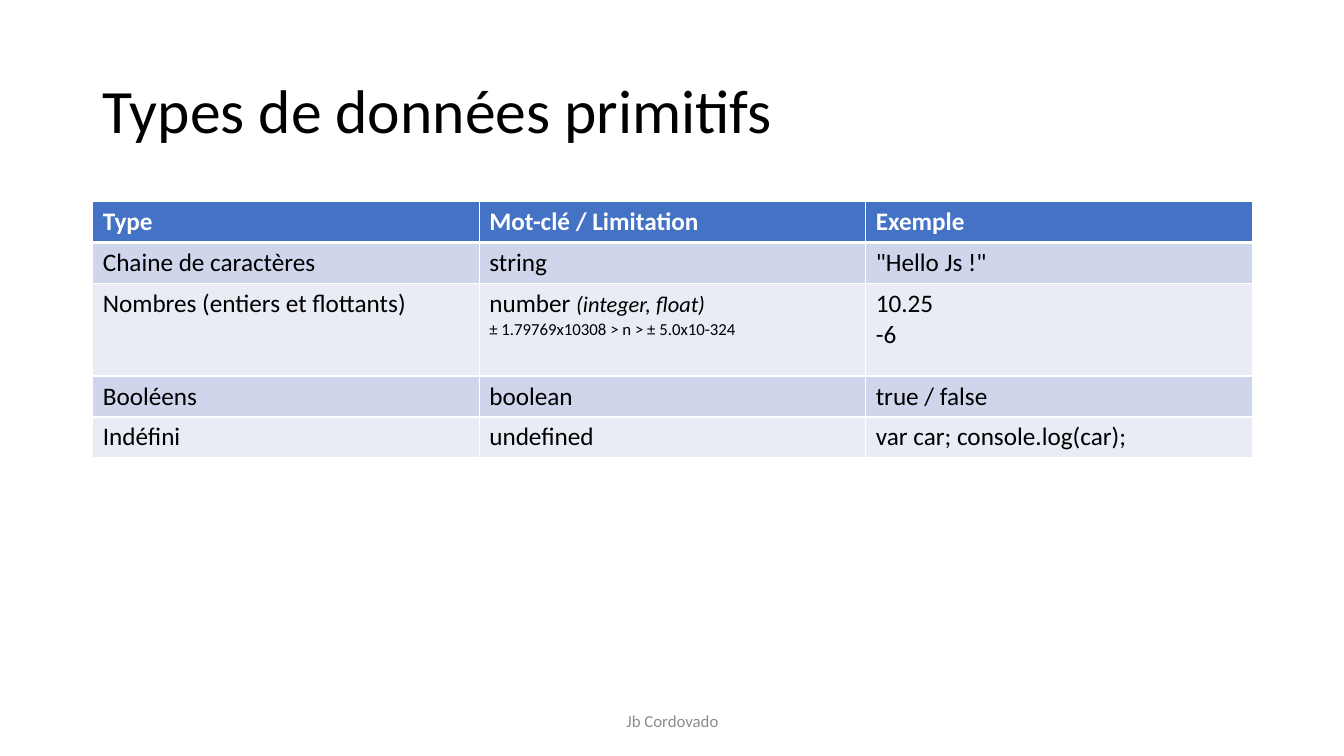
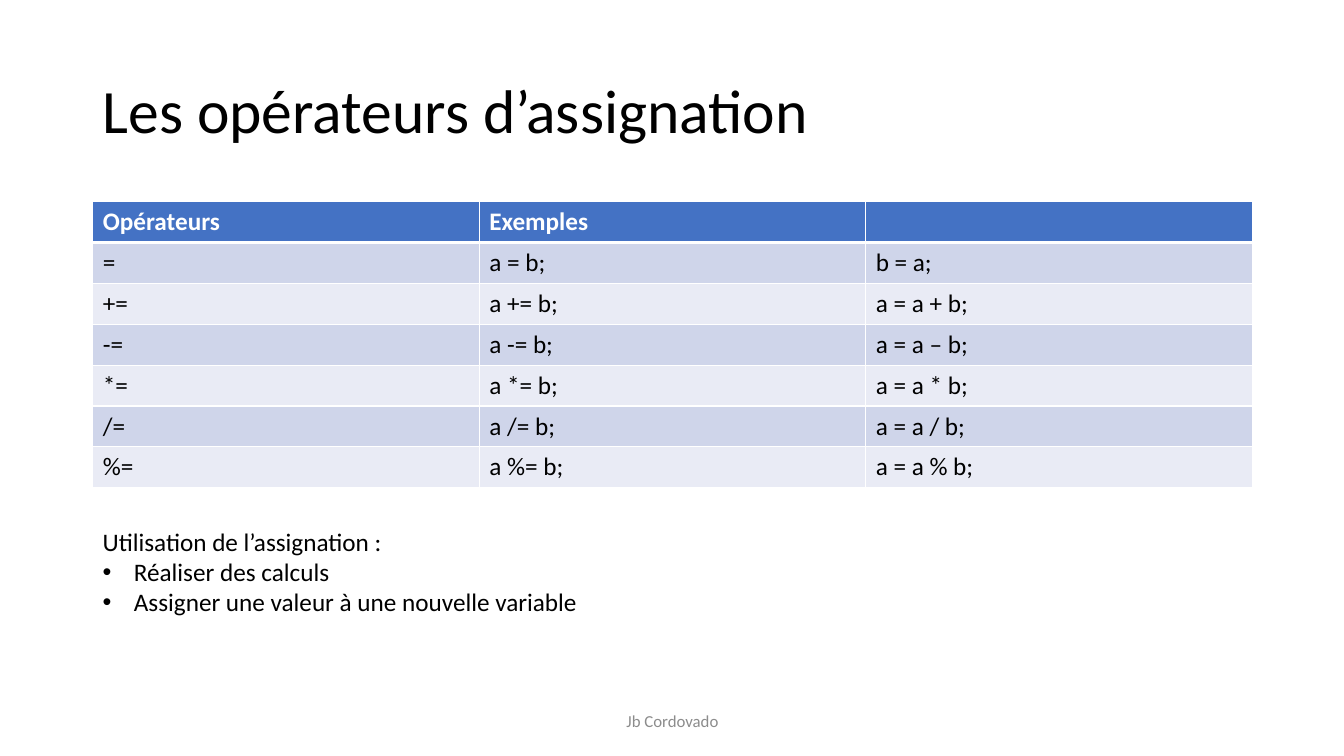
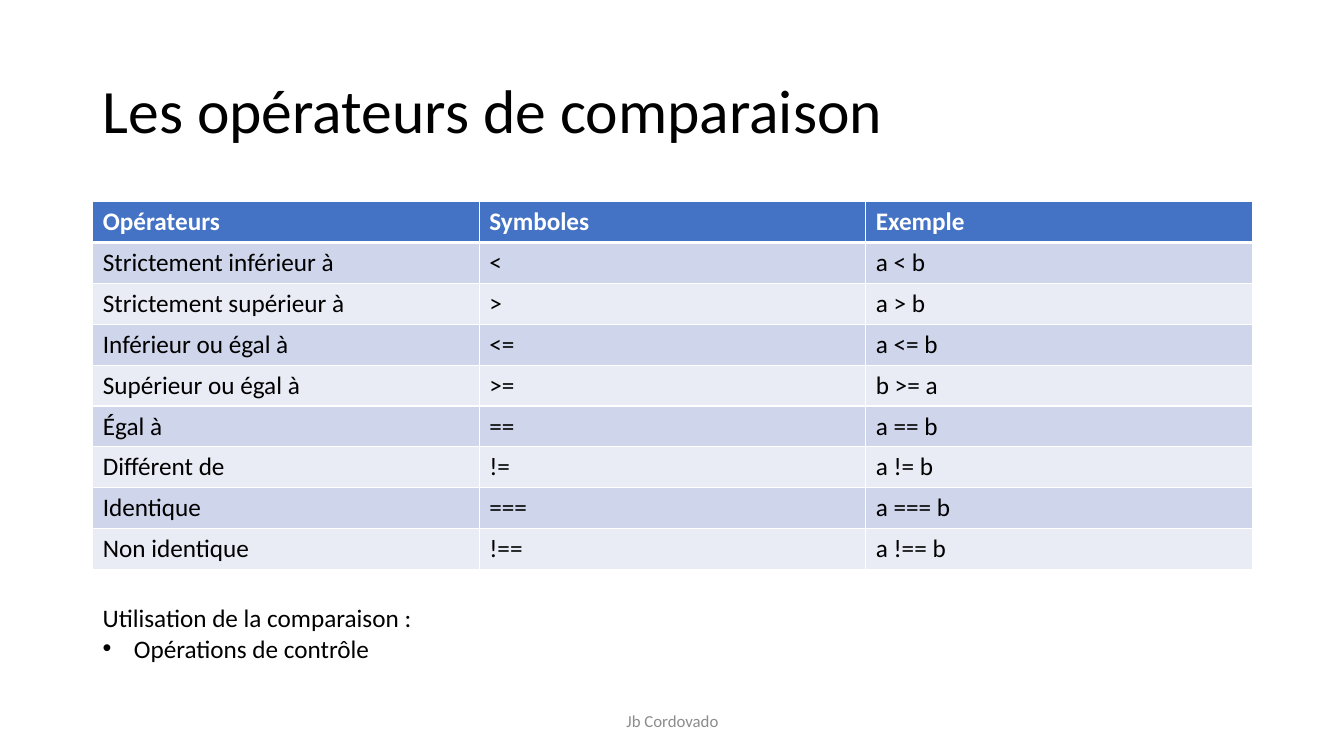
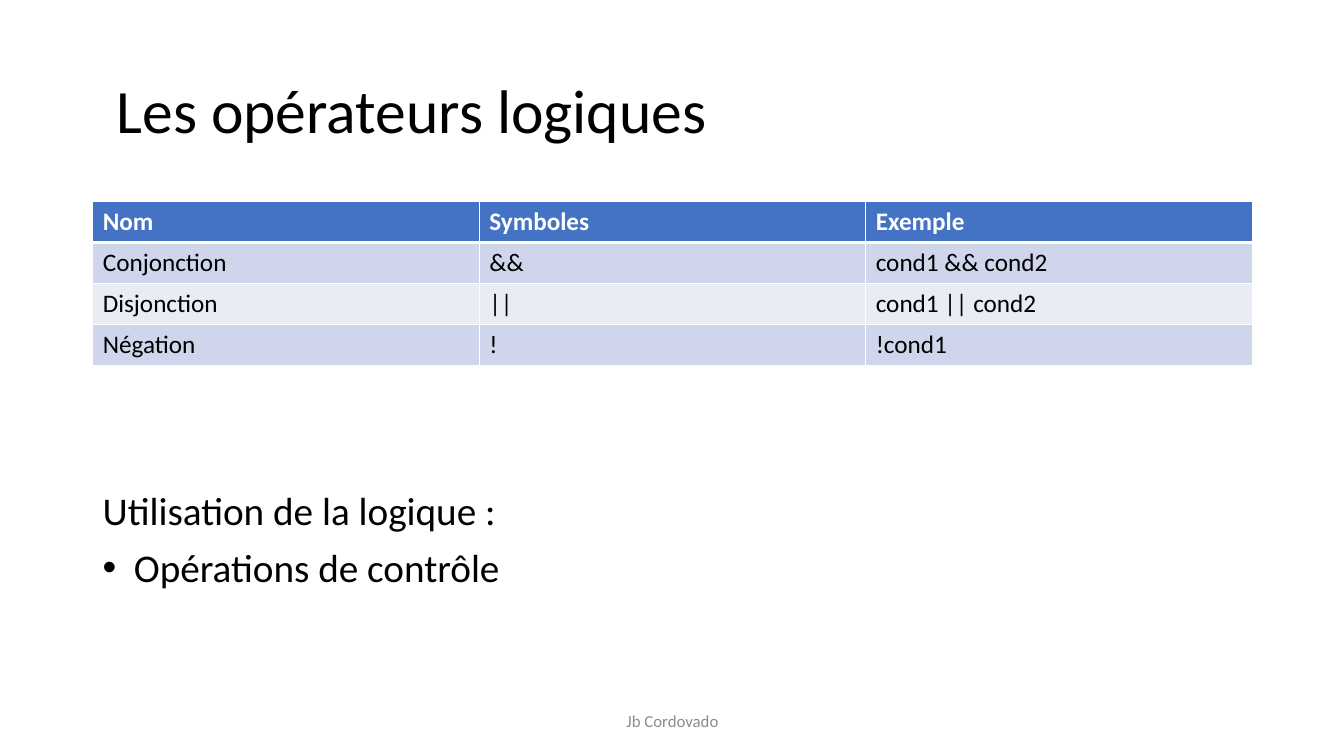
"""Build four slides on JavaScript types and operators."""
import pptx
import pptx.dml.color
import pptx.enum.text
import pptx.oxml.ns
import pptx.util
import lxml.etree

Inches = pptx.util.Inches
Pt = pptx.util.Pt
RGBColor = pptx.dml.color.RGBColor
PP_ALIGN = pptx.enum.text.PP_ALIGN
MSO_ANCHOR = pptx.enum.text.MSO_ANCHOR
qn = pptx.oxml.ns.qn

BLACK = RGBColor(0x00, 0x00, 0x00)
WHITE = RGBColor(0xFF, 0xFF, 0xFF)
GREY = RGBColor(0x8C, 0x8C, 0x8C)
BLUE = RGBColor(0x44, 0x72, 0xC4)
BAND_DARK = RGBColor(0xCF, 0xD5, 0xEA)
BAND_LIGHT = RGBColor(0xE9, 0xEB, 0xF5)

FONT = "Calibri"
FOOTER = "Jb Cordovado"
LEFT = 0.92
WIDTH = 11.5
TABLE_TOP = 2
ROW_HEIGHT = Pt(29.2)
BULLET_INDENT = Inches(0.31)


def add_text(p, text, size=18, color=BLACK, bold=False, italic=False):
    r = p.add_run()
    r.text = text
    r.font.name = FONT
    r.font.size = Pt(size)
    r.font.color.rgb = color
    r.font.bold = bold
    r.font.italic = italic


def add_box(s, left, top, width, height, anchor=MSO_ANCHOR.TOP):
    sp = s.shapes.add_textbox(Inches(left), Inches(top), Inches(width), Inches(height))
    tf = sp.text_frame
    tf.word_wrap = True
    tf.vertical_anchor = anchor
    return tf


def add_bullet(p):
    pPr = p._p.get_or_add_pPr()
    pPr.set("marL", str(BULLET_INDENT))
    pPr.set("indent", str(-BULLET_INDENT))
    lxml.etree.SubElement(pPr, qn("a:buFont"), typeface="Arial")
    lxml.etree.SubElement(pPr, qn("a:buChar"), char="•")


def set_borders(cell, top=1, bottom=1):
    tcPr = cell._tc.get_or_add_tcPr()
    for side, width in (("L", 1), ("R", 1), ("T", top), ("B", bottom)):
        ln = lxml.etree.SubElement(tcPr, qn("a:ln" + side), w=str(Pt(width)))
        fill = lxml.etree.SubElement(ln, qn("a:solidFill"))
        lxml.etree.SubElement(fill, qn("a:srgbClr"), val=str(WHITE))


def fill_cell(cell, content, row):
    header = row == 0
    set_borders(cell, top=3 if row == 1 else 1, bottom=3 if header else 1)
    cell.fill.solid()
    cell.fill.fore_color.rgb = BLUE if header else (BAND_LIGHT, BAND_DARK)[row % 2]
    paragraphs = [[(content, {})]] if isinstance(content, str) else content
    tf = cell.text_frame
    for i, runs in enumerate(paragraphs):
        p = tf.add_paragraph() if i else tf.paragraphs[0]
        for text, style in runs:
            if text:
                add_text(p, text, color=WHITE if header else BLACK, bold=header, **style)


def add_grid(s, rows, tall_rows):
    columns = len(rows[0])
    frame = s.shapes.add_table(len(rows), columns, Inches(LEFT), Inches(TABLE_TOP),
                               Inches(WIDTH), ROW_HEIGHT * len(rows))
    table = frame.table
    for column in table.columns:
        column.width = Inches(WIDTH / columns)
    for i, row in enumerate(rows):
        table.rows[i].height = Inches(tall_rows[i]) if i in tall_rows else ROW_HEIGHT
        for j, content in enumerate(row):
            fill_cell(table.cell(i, j), content, i)


def add_usage(s, top, height, heading, bullets, size=18, line_spacing=1.0, gap=0):
    tf = add_box(s, LEFT, top, WIDTH, height)
    for i, text in enumerate([heading] + bullets):
        p = tf.add_paragraph() if i else tf.paragraphs[0]
        p.line_spacing = line_spacing
        if i:
            p.space_before = Pt(gap)
            add_bullet(p)
        add_text(p, text, size=size)


def add_slide(prs, title, rows, tall_rows={}):
    s = prs.slides.add_slide(prs.slide_layouts[6])
    p = add_box(s, LEFT, 0.4, WIDTH, 1.45, MSO_ANCHOR.MIDDLE).paragraphs[0]
    p.line_spacing = 0.9
    add_text(p, title, size=44)
    add_grid(s, rows, tall_rows)
    p = add_box(s, 4.42, 6.95, 4.5, 0.4, MSO_ANCHOR.MIDDLE).paragraphs[0]
    p.alignment = PP_ALIGN.CENTER
    add_text(p, FOOTER, size=12, color=GREY)
    return s


def main():
    prs = pptx.Presentation()
    prs.slide_width = Inches(13.33)
    prs.slide_height = Inches(7.5)

    number = [[("number ", {}), ("(integer, float)", {"size": 16, "italic": True})],
              [("± 1.79769x10308 > n > ± 5.0x10-324", {"size": 12})]]
    add_slide(prs, "Types de données primitifs", [
        ("Type", "Mot-clé / Limitation", "Exemple"),
        ("Chaine de caractères", "string", '"Hello Js !"'),
        ("Nombres (entiers et flottants)", number, [[("10.25", {})], [("-6", {})]]),
        ("Booléens", "boolean", "true / false"),
        ("Indéfini", "undefined", "var car; console.log(car);"),
    ], tall_rows={2: 0.92})

    s = add_slide(prs, "Les opérateurs d’assignation", [
        ("Opérateurs", "Exemples", ""),
        ("=", "a = b;", "b = a;"),
        ("+=", "a += b;", "a = a + b;"),
        ("-=", "a -= b;", "a = a – b;"),
        ("*=", "a *= b;", "a = a * b;"),
        ("/=", "a /= b;", "a = a / b;"),
        ("%=", "a %= b;", "a = a % b;"),
    ])
    add_usage(s, 5.17, 1.01, "Utilisation de l’assignation :",
              ["Réaliser des calculs", "Assigner une valeur à une nouvelle variable"])

    s = add_slide(prs, "Les opérateurs de comparaison", [
        ("Opérateurs", "Symboles", "Exemple"),
        ("Strictement inférieur à", "<", "a < b"),
        ("Strictement supérieur à", ">", "a > b"),
        ("Inférieur ou égal à", "<=", "a <= b"),
        ("Supérieur ou égal à", ">=", "b >= a"),
        ("Égal à", "==", "a == b"),
        ("Différent de", "!=", "a != b"),
        ("Identique", "===", "a === b"),
        ("Non identique", "!==", "a !== b"),
    ])
    add_usage(s, 5.93, 0.71, "Utilisation de la comparaison :", ["Opérations de contrôle"])

    s = add_slide(prs, " Les opérateurs logiques", [
        ("Nom", "Symboles", "Exemple"),
        ("Conjonction", "&&", "cond1 && cond2"),
        ("Disjonction", "||", "cond1 || cond2"),
        ("Négation", "!", "!cond1"),
    ])
    add_usage(s, 4.83, 1.08, "Utilisation de la logique :", ["Opérations de contrôle"],
              size=28, line_spacing=0.9, gap=10)

    prs.save("out.pptx")


if __name__ == "__main__":
    main()
